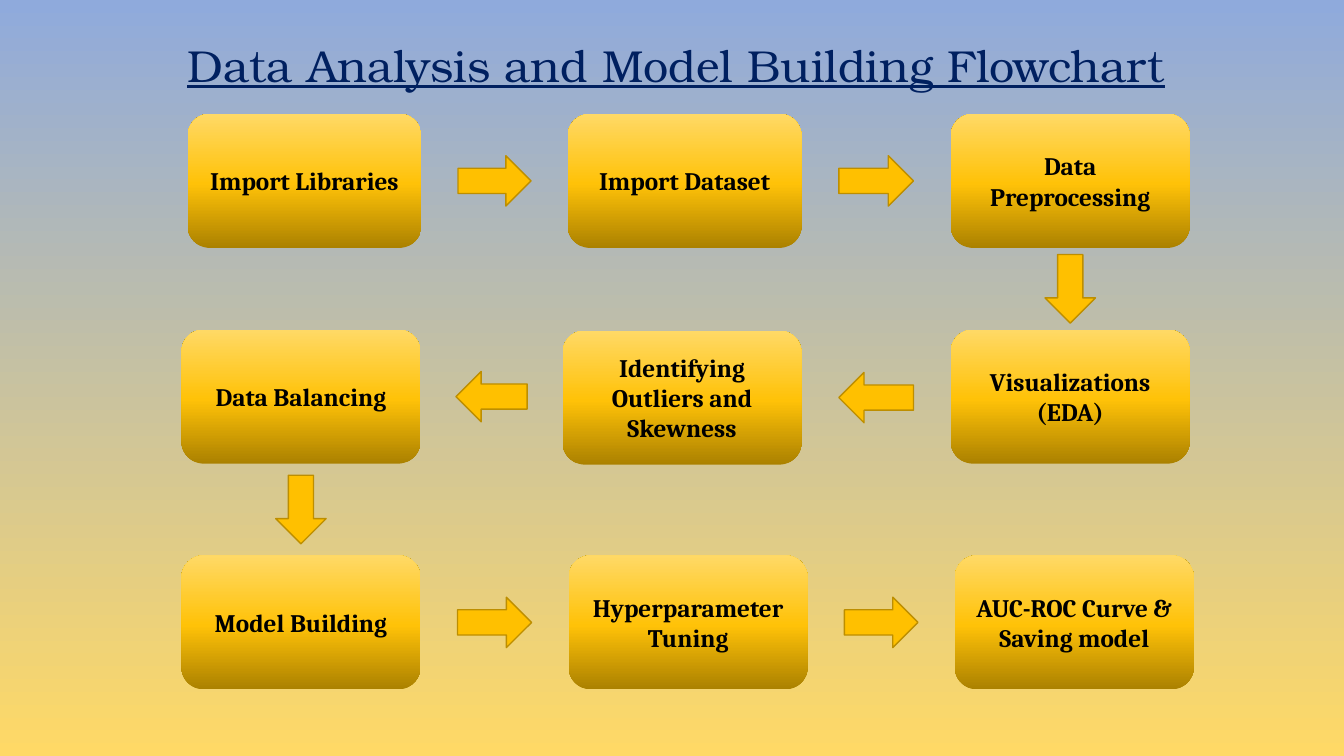
from dataclasses import dataclass
from itertools import pairwise

from pptx import Presentation
from pptx import util as u
from pptx.dml import color
from pptx.enum import shapes, text
from pptx.oxml import ns
from lxml import etree


@dataclass(frozen=True)
class Theme:
    """Colours, fonts and type sizes of the slide."""
    sky_to_sand: tuple = ((0, "8FAADC"), (100, "FFD966"))
    gold: tuple = ((0, "AB8100"), (48, "FFC208"), (100, "FFD966"))
    arrow_fill: str = "FFC000"
    arrow_line: str = "BD8E00"
    title_color: str = "002060"
    step_color: str = "000000"
    title_font: str = "TeX Gyre Bonum"
    step_font: str = "Cambria"
    title_size: int = 32
    step_size: int = 18


THEME = Theme()
SHAPE = shapes.MSO_SHAPE
TITLE_BOX = (0.56, 0.32, 12.3, 0.94)
STEP_HEIGHT = 1.33
ARROW_THICKNESS = 0.5
DOWN_ARROW_LENGTH = 0.68

ROWS = [
    (SHAPE.RIGHT_ARROW, [
        ("Import Libraries", 1.86, 1.13, 2.32),
        ("Import Dataset", 5.63, 1.13, 2.32),
        ("Data Preprocessing", 9.43, 1.13, 2.37),
    ]),
    (SHAPE.LEFT_ARROW, [
        ("Data Balancing", 1.8, 3.27, 2.37),
        ("Identifying Outliers and Skewness", 5.58, 3.28, 2.37),
        ("Visualizations\n(EDA)", 9.43, 3.27, 2.37),
    ]),
    (SHAPE.RIGHT_ARROW, [
        ("Model Building", 1.8, 5.51, 2.37),
        ("Hyperparameter Tuning", 5.64, 5.51, 2.37),
        ("AUC-ROC Curve & Saving model", 9.47, 5.51, 2.37),
    ]),
]
TURN_COLUMNS = [2, 0]


def set_gradient(fill, element, stops, angle):
    """Give a fill the listed gradient stops at a counter-clockwise angle."""
    fill.gradient()
    fill.gradient_angle = angle
    stop_list = element.find(".//" + ns.qn("a:gsLst"))
    for old_stop in list(stop_list):
        stop_list.remove(old_stop)
    for percent, rgb in stops:
        stop = etree.SubElement(stop_list, ns.qn("a:gs"), pos=str(percent * 1000))
        etree.SubElement(stop, ns.qn("a:srgbClr"), val=rgb)


def format_text(text_frame, font_name, size, rgb, bold=False, underline=False):
    """Centre every paragraph and format its runs."""
    for paragraph in text_frame.paragraphs:
        paragraph.alignment = text.PP_ALIGN.CENTER
        for run in paragraph.runs:
            run.font.name = font_name
            run.font.size = u.Pt(size)
            run.font.color.rgb = color.RGBColor.from_string(rgb)
            run.font.bold = bold
            run.font.underline = underline


def add_title(slide, box, wording):
    """Place the title placeholder in its box."""
    title = slide.shapes.title
    title.left, title.top, title.width, title.height = map(u.Inches, box)
    frame = title.text_frame
    frame.text = wording
    frame.word_wrap = True
    frame.auto_size = text.MSO_AUTO_SIZE.NONE
    frame.vertical_anchor = text.MSO_ANCHOR.TOP
    format_text(frame, THEME.title_font, THEME.title_size, THEME.title_color,
                underline=True)


def add_step(slide, wording, left, top, width):
    """Draw one golden step of the flowchart."""
    step = slide.shapes.add_shape(
        SHAPE.FLOWCHART_ALTERNATE_PROCESS,
        *map(u.Inches, (left, top, width, STEP_HEIGHT)))
    step.shadow.inherit = False
    step.line.fill.background()
    set_gradient(step.fill, step.element, THEME.gold, 90)
    frame = step.text_frame
    frame.text = wording
    frame.word_wrap = True
    frame.vertical_anchor = text.MSO_ANCHOR.MIDDLE
    format_text(frame, THEME.step_font, THEME.step_size, THEME.step_color, bold=True)


def add_arrow(slide, kind, center_x, center_y, width, height):
    """Draw a block arrow around its centre."""
    arrow = slide.shapes.add_shape(
        kind, *map(u.Inches, (center_x - width / 2, center_y - height / 2, width, height)))
    arrow.shadow.inherit = False
    arrow.fill.solid()
    arrow.fill.fore_color.rgb = color.RGBColor.from_string(THEME.arrow_fill)
    arrow.line.color.rgb = color.RGBColor.from_string(THEME.arrow_line)
    arrow.line.width = u.Pt(1)


def add_row(slide, arrow_kind, steps):
    """Draw a row of steps with an arrow half as wide as each gap."""
    for step in steps:
        add_step(slide, *step)
    for (_, left, top, width), (_, next_left, _, _) in pairwise(steps):
        gap = next_left - left - width
        add_arrow(slide, arrow_kind, left + width + gap / 2, top + STEP_HEIGHT / 2,
                  gap / 2, ARROW_THICKNESS)


def add_turn(slide, upper_step, lower_step):
    """Draw the down arrow midway between two stacked steps."""
    _, left, top, width = upper_step
    lower_top = lower_step[2]
    add_arrow(slide, SHAPE.DOWN_ARROW, left + width / 2,
              (top + STEP_HEIGHT + lower_top) / 2, ARROW_THICKNESS, DOWN_ARROW_LENGTH)


def add_flowchart_slide(presentation):
    """Build the flowchart slide."""
    slide = presentation.slides.add_slide(presentation.slide_layouts[5])
    set_gradient(slide.background.fill, slide.element, THEME.sky_to_sand, 270)
    add_title(slide, TITLE_BOX, "Data Analysis and Model Building Flowchart")
    for arrow_kind, steps in ROWS:
        add_row(slide, arrow_kind, steps)
    for ((_, upper), (_, lower)), column in zip(pairwise(ROWS), TURN_COLUMNS):
        add_turn(slide, upper[column], lower[column])


def main():
    """Create and save the presentation."""
    presentation = Presentation()
    presentation.slide_width = u.Inches(13.33)
    presentation.slide_height = u.Inches(7.5)
    add_flowchart_slide(presentation)
    presentation.save("out.pptx")


if __name__ == "__main__":
    main()
